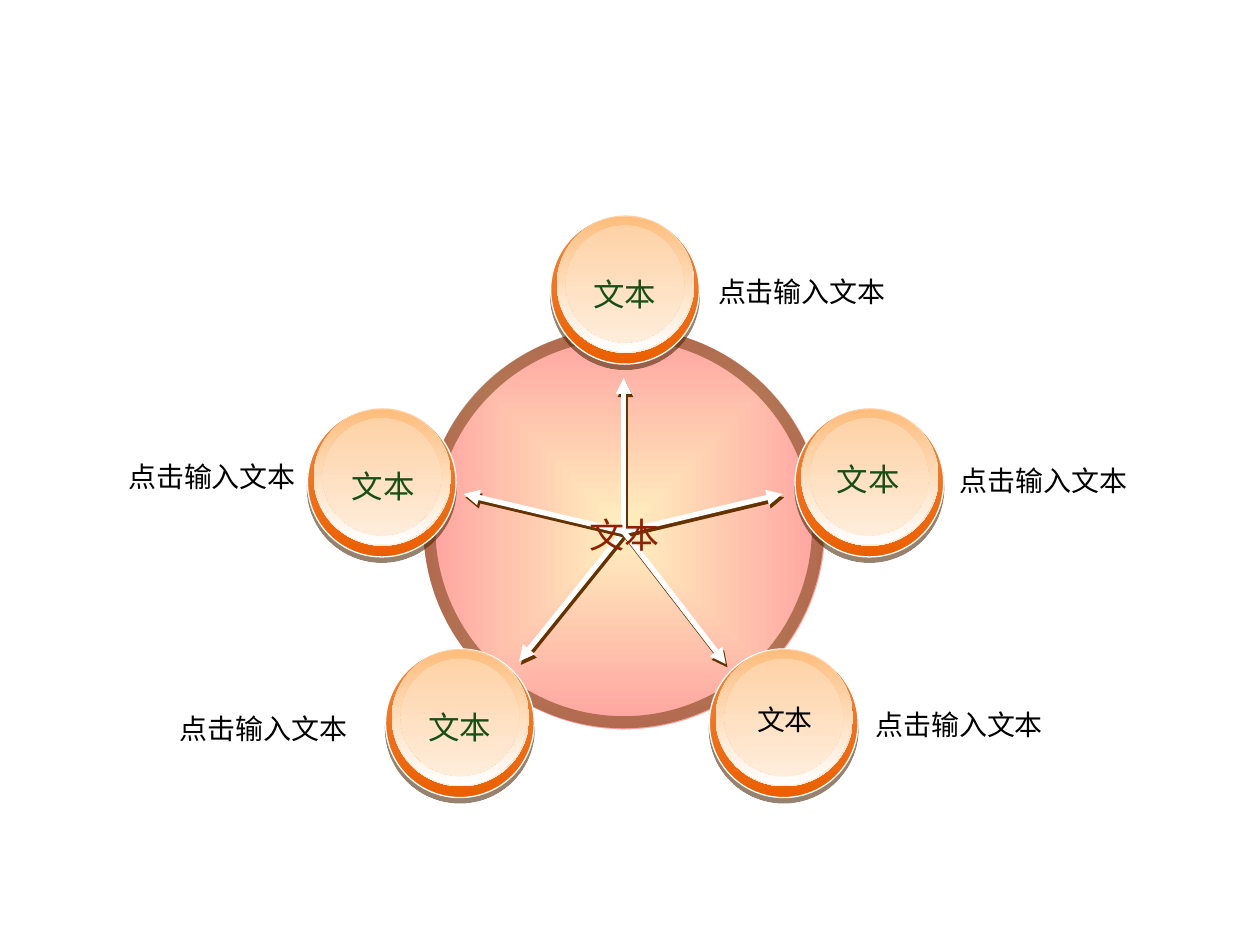
from lxml.etree import SubElement
from pptx import Presentation
from pptx.dml.color import RGBColor
from pptx.enum.shapes import MSO_CONNECTOR as CONNECTOR, MSO_SHAPE as SHAPE
from pptx.enum.text import MSO_ANCHOR as ANCHOR, PP_ALIGN as ALIGN
from pptx.oxml import parse_xml
from pptx.oxml.ns import nsdecls, qn
from pptx.util import Pt

PX = 9144  # 100 px to the inch
CJK_FONT = "Noto Sans CJK KR"
hex_colour = RGBColor.from_string


def add_round(shapes, kind, box, colours, line_width=0):
    """Add an ellipse or ring with a top-to-bottom gradient and an optional white line."""
    shape = shapes.add_shape(kind, *[value * PX for value in box])
    shape.fill.gradient()
    shape.fill.gradient_angle = 270
    for stop, colour in zip(shape.fill.gradient_stops, colours):
        stop.color.rgb = hex_colour(colour)
    if line_width:
        shape.line.color.rgb = hex_colour("FFFFFF")
        shape.line.width = Pt(line_width)
    else:
        shape.line.fill.background()
    shape.shadow.inherit = False
    return shape


def add_shadow(shape, colour, opacity, distance, angle):
    """Give the shape a hard shadow: opacity in percent, distance in points."""
    properties = shape._element.spPr
    for old_effects in properties.findall(qn("a:effectLst")):
        properties.remove(old_effects)
    properties.append(parse_xml(
        f'<a:effectLst {nsdecls("a")}><a:outerShdw blurRad="0" dist="{Pt(distance)}" '
        f'dir="{angle * 60000}" algn="ctr" rotWithShape="0"><a:srgbClr val="{colour}">'
        f'<a:alpha val="{opacity * 1000}"/></a:srgbClr></a:outerShdw></a:effectLst>'))


presentation = Presentation()
presentation.slide_width = 1000 * PX
presentation.slide_height = 750 * PX
slide = presentation.slides.add_slide(presentation.slide_layouts[6])

# Central disc: gradient from the middle outwards, with a translucent ring
centre = slide.shapes.add_group_shape()
disc = add_round(centre.shapes, SHAPE.OVAL, (333, 257, 325, 325), ("FFEA96", "FF6161"), 4.5)
gradient = disc._element.spPr.find(qn("a:gradFill"))
gradient.replace(gradient.find(qn("a:lin")), parse_xml(
    f'<a:path {nsdecls("a")} path="shape">'
    '<a:fillToRect l="50000" t="50000" r="50000" b="50000"/></a:path>'))
for colour in gradient.iter(qn("a:srgbClr")):
    SubElement(colour, qn("a:alpha"), val="60000")

ring = centre.shapes.add_shape(SHAPE.DONUT, 336 * PX, 260 * PX, 318 * PX, 318 * PX)
ring.adjustments[0] = 0.03
ring.fill.solid()
ring.fill.fore_color.rgb = hex_colour("663300")
SubElement(next(ring._element.spPr.iter(qn("a:srgbClr"))), qn("a:alpha"), val="50000")
ring.line.fill.background()
ring.shadow.inherit = False

# Arrows from the centre to the buttons
arrows = slide.shapes.add_group_shape()
for x, y in [(495, 300), (412, 525), (368, 392), (621, 392), (576, 527)]:
    arrow = arrows.shapes.add_connector(CONNECTOR.STRAIGHT, x * PX, y * PX, 495 * PX, 422 * PX)
    arrow.line.color.rgb = hex_colour("FFFFFF")
    arrow.line.width = Pt(3)
    SubElement(arrow.line._get_or_add_ln(), qn("a:headEnd"), type="triangle")
    add_shadow(arrow, "663300", 100, 2.2, 63)

# Buttons: rim, face and lip
for left, top in [(437, 171), (631, 324), (563, 515), (306, 515), (244, 324)]:
    button = slide.shapes.add_group_shape().shapes
    rim = add_round(button, SHAPE.DONUT, (left, top, 118, 118), ("F08A46", "EB5F01"), 0.75)
    rim.adjustments[0] = 0.1
    add_shadow(rim, "482400", 56, 3, 90)
    add_round(button, SHAPE.OVAL, (left + 5, top, 109, 109), ("FED0A2", "FFEFDF"))
    lip = add_round(button, SHAPE.DONUT, (left + 5, top + 1, 108, 107), ("FEBD7C", "FFFFFF"))
    lip.adjustments[0] = 0.06

# Words: box, text, size, font, colour
GREEN, BLACK, RED = "184F17", "000000", "8F2103"
SHORT, LONG = "文本", "点击输入文本"
words = [
    ((450, 177, 92, 106), SHORT, 18, CJK_FONT, GREEN),
    ((643, 324, 92, 106), SHORT, 18, CJK_FONT, GREEN),
    ((577, 515, 92, 106), SHORT, 16, CJK_FONT, BLACK),
    ((319, 521, 92, 106), SHORT, 18, CJK_FONT, GREEN),
    ((258, 330, 92, 106), SHORT, 18, CJK_FONT, GREEN),
    ((685, 541, 238, 67), LONG, 16, "Arial", BLACK),
    ((752, 343, 193, 76), LONG, 16, "Arial", BLACK),
    ((560, 193, 278, 76), LONG, 16, CJK_FONT, BLACK),
    ((437, 366, 118, 109), SHORT, 20, "Arial Narrow", RED),
    ((92, 340, 193, 76), LONG, 16, "Arial", BLACK),
    ((133, 540, 193, 76), LONG, 16, "Arial", BLACK),
]
for box, text, size, font_name, colour in words:
    frame = slide.shapes.add_textbox(*[value * PX for value in box]).text_frame
    frame.word_wrap = True
    frame.vertical_anchor = ANCHOR.MIDDLE
    paragraph = frame.paragraphs[0]
    if text == SHORT:
        paragraph.alignment = ALIGN.CENTER
        paragraph.line_spacing = 1.2
    run = paragraph.add_run()
    run.text = text
    run.font.size = Pt(size)
    run.font.name = font_name
    run.font.color.rgb = hex_colour(colour)
    SubElement(run.font._element, qn("a:ea"), typeface=CJK_FONT)

presentation.save("out.pptx")
